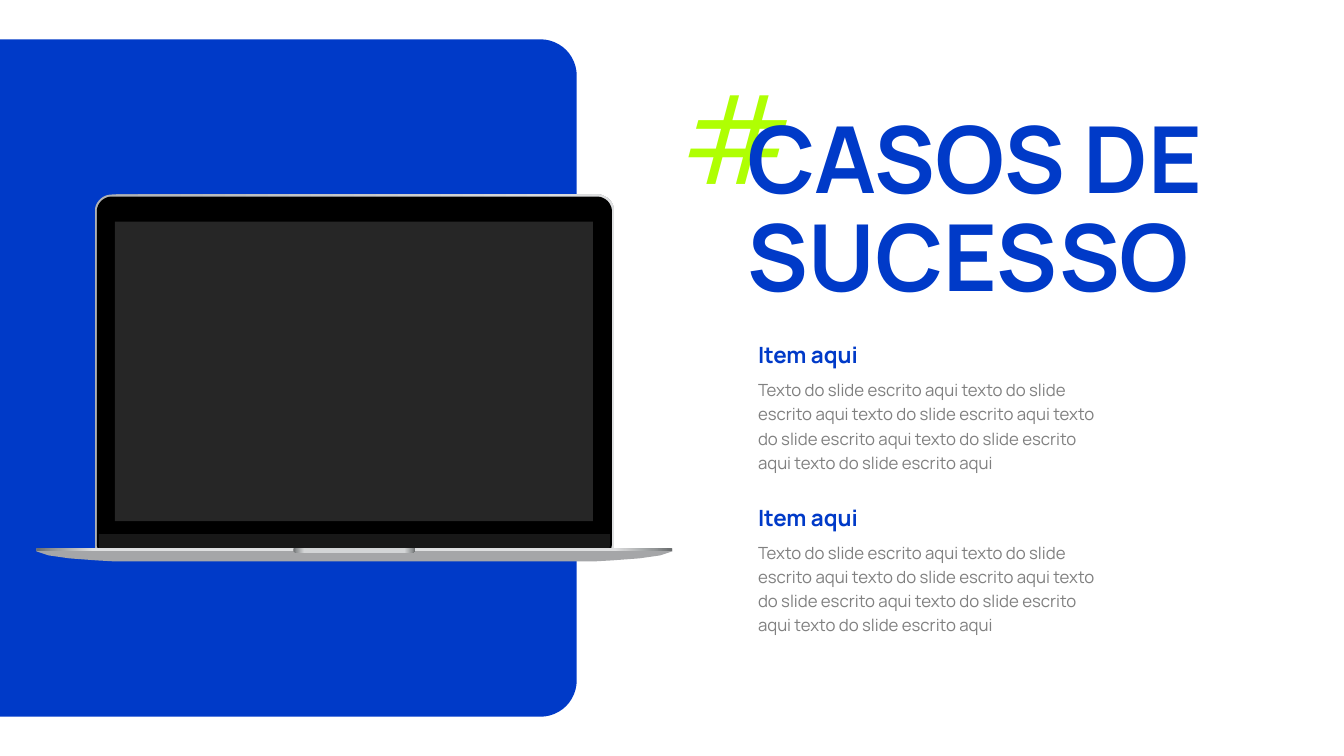
import math
from dataclasses import dataclass

from lxml import etree
from pptx import Presentation
from pptx.dml.color import RGBColor
from pptx.enum.shapes import MSO_SHAPE
from pptx.enum.text import PP_ALIGN
from pptx.oxml.ns import qn
from pptx.util import Inches, Pt

LEFT, CENTER = PP_ALIGN.LEFT, PP_ALIGN.CENTER
RECTANGLE = MSO_SHAPE.RECTANGLE
FONT = "Manrope"
COLORS = {
    "blue": "003AC8", "lime": "AFFF03", "gray": "808080",
    "black": "000000", "chin": "181818", "screen": "262626", "base": "A5A6A8",
    "steel": "B0B2B4", "silver": "DFE0E1", "dark edge": "686B6C",
    "mid edge": "96999A", "latch": "D3D5D6",
}
LAPTOP_SPAN = 7.03  # sum of the laptop's left and right edges

Point = tuple[float, float]
Stops = list[tuple[int, str]]


@dataclass
class Part:
    points: list[Point]
    fill: str | Stops


@dataclass
class Item:
    top: float
    heading: str
    body: str


def rounded(left: float, top: float, right: float, bottom: float,
            radii: tuple[float, float, float, float]) -> list[Point]:
    """Outline with radii given clockwise from the top left corner."""
    corners = [(left, top, 1, 1), (right, top, -1, 1),
               (right, bottom, -1, -1), (left, bottom, 1, -1)]
    points = []
    for quarter, ((x, y, to_x, to_y), radius) in enumerate(zip(corners, radii)):
        steps = 12 if radius else 0
        for step in range(steps + 1):
            angle = math.pi + (quarter + step / max(steps, 1)) * math.pi / 2
            points.append((x + radius * (to_x + math.cos(angle)),
                           y + radius * (to_y + math.sin(angle))))
    return points


def mirrored(half: list[Point]) -> list[Point]:
    """Complete the left half of a laptop part with its reflection."""
    return half + [(LAPTOP_SPAN - x, y) for x, y in reversed(half)]


def metal(middle: str) -> Stops:
    """Bright metal that darkens evenly towards both ends."""
    edge = [(0, "dark edge"), (3, "mid edge"), (9, middle)]
    return edge + [(100 - place, color) for place, color in reversed(edge)]


def paint(shape, fill: str | Stops) -> None:
    shape.shadow.inherit = False
    shape.line.fill.background()
    if isinstance(fill, str):
        shape.fill.solid()
        shape.fill.fore_color.rgb = RGBColor.from_string(COLORS[fill])
        return
    shape.fill.gradient()
    shape.fill.gradient_angle = 0
    stop_list = shape.fill._xPr.find(qn("a:gradFill")).find(qn("a:gsLst"))
    for old_stop in list(stop_list):
        stop_list.remove(old_stop)
    for place, color in fill:
        stop = etree.SubElement(stop_list, qn("a:gs"), pos=str(place * 1000))
        etree.SubElement(stop, qn("a:srgbClr"), val=COLORS[color])


def draw_part(shapes, part: Part) -> None:
    points = [(Inches(x), Inches(y)) for x, y in part.points]
    builder = shapes.build_freeform(*points[0])
    builder.add_line_segments(points[1:], close=True)
    paint(builder.convert_to_shape(), part.fill)


def add_text(shapes, text: str, *, at: tuple[float, float, float, float],
             size: float, color: str, bold: bool = False, align=LEFT,
             line_spacing=1.0) -> None:
    frame = shapes.add_textbox(*map(Inches, at)).text_frame
    frame.word_wrap = True
    para = frame.paragraphs[0]
    para.alignment = align
    para.line_spacing = line_spacing
    span = para.add_run()
    span.text = text
    span.font.name = FONT
    span.font.size = Pt(size)
    span.font.bold = bold
    span.font.color.rgb = RGBColor.from_string(COLORS[color])


def draw_laptop(shapes) -> None:
    lid = [
        Part(rounded(0.94, 1.93, 6.09, 5.57, (0.17,) * 4),
             [(0, "steel"), (100, "silver")]),
        Part(rounded(0.96, 1.95, 6.07, 5.54, (0.15,) * 4), "black"),
        Part(rounded(0.98, 5.3, 6.05, 5.53, (0, 0, 0.13, 0.13)), "chin"),
    ]
    foot = [
        Part(mirrored([(2.98, 5.47), (2.92, 5.44), (0.36, 5.44), (0.36, 5.47),
                       (0.48, 5.51), (0.69, 5.54), (0.96, 5.56), (1.14, 5.57)]),
             "base"),
        Part(mirrored([(2.94, 5.46), (2.92, 5.44), (0.36, 5.44), (0.36, 5.47)]),
             metal("silver")),
        Part(mirrored([(2.91, 5.44), (2.91, 5.47), (2.95, 5.49), (2.98, 5.49)]),
             metal("latch")),
    ]
    for part in lid:
        draw_part(shapes, part)
    screen = shapes.add_shape(RECTANGLE, *map(Inches, (1.14, 2.2, 4.74, 2.97)))
    paint(screen, "screen")
    for part in foot:
        draw_part(shapes, part)


def draw_item(shapes, item: Item) -> None:
    add_text(shapes, item.body, at=(7.42, item.top + 0.34, 3.7, 1.08),
             size=12, color="gray", line_spacing=1.2)
    add_text(shapes, item.heading, at=(7.42, item.top, 3.7, 0.37),
             size=16, color="blue", bold=True)


def main() -> None:
    deck = Presentation()
    deck.slide_width, deck.slide_height = Inches(13.33), Inches(7.5)
    page = deck.slides.add_slide(deck.slide_layouts[6])

    # Hash sign and blue panel
    add_text(page.shapes, "#", at=(5.91, 0.56, 2.83, 1.58), size=88,
             color="lime", align=CENTER)
    draw_part(page.shapes,
              Part(rounded(0, 0.39, 5.72, 7.11, (0, 0.36, 0.36, 0)), "blue"))

    # Laptop
    draw_laptop(page.shapes.add_group_shape().shapes)

    # Title
    add_text(page.shapes, "CASOS DE SUCESSO", at=(7.32, 1.08, 5.08, 1.91),
             size=66, color="blue", bold=True, line_spacing=Pt(70))

    # Items
    body = " ".join(["Texto do slide escrito aqui"]
                    + ["texto do slide escrito aqui"] * 5)
    for top in (3.34, 4.95):
        draw_item(page.shapes.add_group_shape().shapes,
                  Item(top, "Item aqui", body))

    deck.save("out.pptx")


if __name__ == "__main__":
    main()
